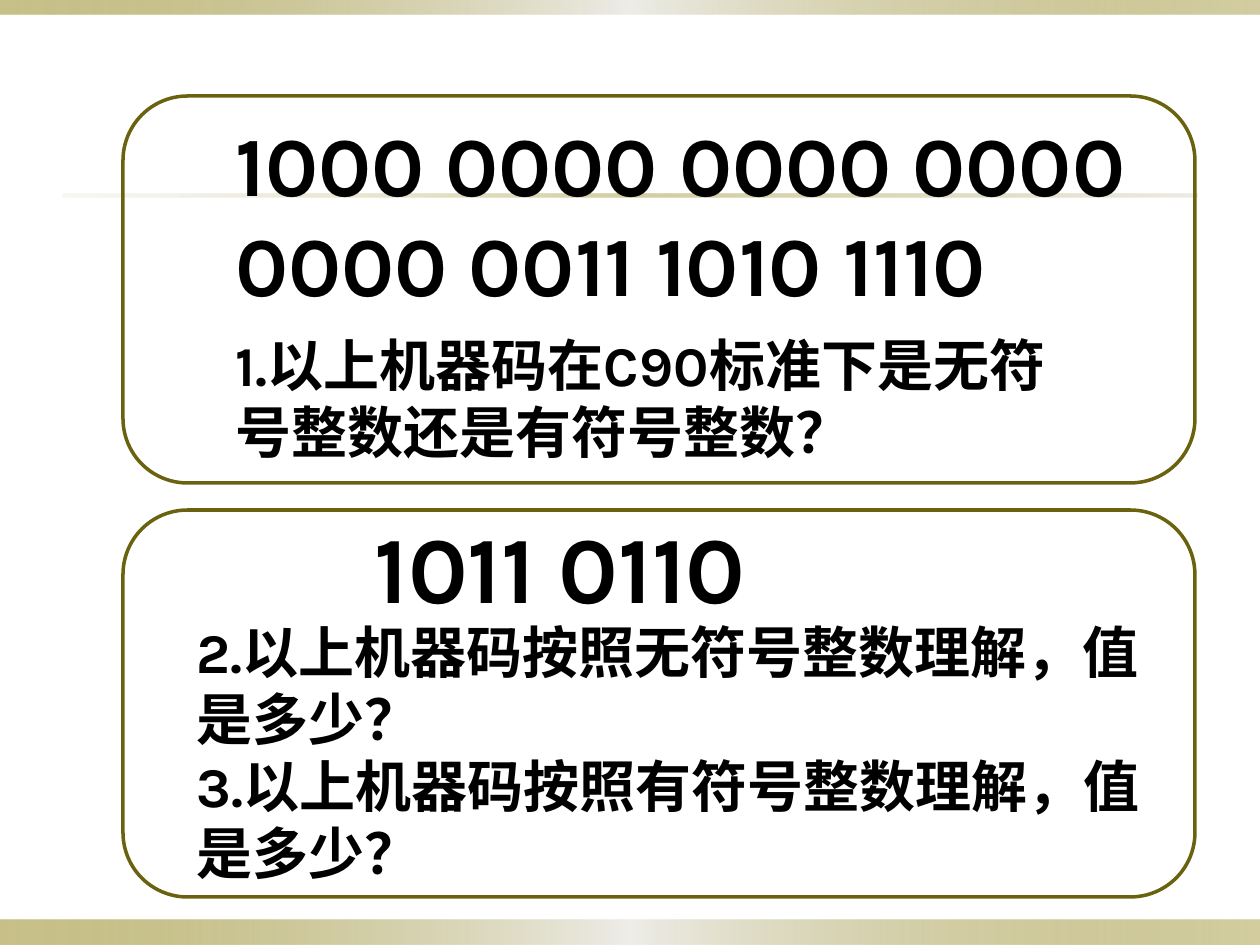
from pptx import Presentation
from pptx.dml.color import RGBColor
from pptx.enum.shapes import MSO_SHAPE
from pptx.enum.text import MSO_AUTO_SIZE
from pptx.oxml import parse_xml
from pptx.oxml.ns import nsdecls
from pptx.util import Inches, Pt

RECTANGLE = MSO_SHAPE.RECTANGLE
ROUNDED = MSO_SHAPE.ROUNDED_RECTANGLE
FIT_SHAPE = MSO_AUTO_SIZE.SHAPE_TO_FIT_TEXT

FONT = "Karla"
BLACK = RGBColor(0x00, 0x00, 0x00)
OLIVE = RGBColor(0x6B, 0x62, 0x10)
KHAKI = RGBColor(0x91, 0x84, 0x15)
PALE = RGBColor(0xEE, 0xED, 0xE8)
SAND = RGBColor(0xDC, 0xD9, 0xCC)

PAGE_WIDTH, PAGE_HEIGHT = 1260, 945
PX_PER_INCH = 126

# Gradient stops: position in percent, colour, opacity in percent
BAND_STOPS = [(0, KHAKI, 50), (50, PALE, 100), (100, KHAKI, 40)]
RULE_STOPS = [(0, SAND, 20), (50, KHAKI, 40), (100, SAND, 50)]

# Decoration: left, top, width, height, stops
BARS = [
    (0, 920, PAGE_WIDTH, 25, BAND_STOPS),
    (0, 0, PAGE_WIDTH, 15, BAND_STOPS),
    (63, 194, 1134, 3, RULE_STOPS),
]

# Frames: left, top, width, height
UPPER_FRAME = (123, 96, 1072, 387)
LOWER_FRAME = (123, 510, 1072, 387)

# Texts: paragraphs, place, size in points
WORD_CODE = (["1000 0000 0000 0000 0000 0011 1010 1110"], (223, 106, 943, 317), 48)
BYTE_CODE = (["1011 0110"], (362, 503, 952, 127), 54)
BYTE_QUESTIONS = (
    ["2.以上机器码按照无符号整数理解，值是多少？",
     "3.以上机器码按照有符号整数理解，值是多少？"],
    (184, 611, 973, 285), 32)
WORD_QUESTION = (
    ["1.以上机器码在C90标准下是无符号整数还是有符号整数？"],
    (223, 324, 873, 186), 32)


def px(*lengths):
    return [Inches(length / PX_PER_INCH) for length in lengths]


def add_bar(page, left, top, width, height, stops):
    bar = page.shapes.add_shape(RECTANGLE, *px(left, top, width, height))
    bar.shadow.inherit = False
    bar.line.fill.background()
    stop_xml = "".join(
        f'<a:gs pos="{position * 1000}"><a:srgbClr val="{color}">'
        f'<a:alpha val="{opacity * 1000}"/></a:srgbClr></a:gs>'
        for position, color, opacity in stops)
    gradient = parse_xml(
        f'<a:gradFill {nsdecls("a")} rotWithShape="1"><a:gsLst>{stop_xml}</a:gsLst>'
        '<a:lin ang="0" scaled="1"/></a:gradFill>')
    bar.element.spPr.find(".//{*}prstGeom").addnext(gradient)


def add_frame(page, place):
    frame = page.shapes.add_shape(ROUNDED, *px(*place))
    frame.shadow.inherit = False
    frame.fill.background()
    frame.line.color.rgb = OLIVE
    frame.line.width = Pt(2)


def add_text(page, paragraphs, place, size, color=BLACK, bold=True):
    box = page.shapes.add_textbox(*px(*place))
    text_frame = box.text_frame
    text_frame.word_wrap = True
    text_frame.auto_size = FIT_SHAPE
    for index, text in enumerate(paragraphs):
        para = text_frame.add_paragraph() if index else text_frame.paragraphs[0]
        span = para.add_run()
        span.text = text
        span.font.name = FONT
        span.font.size = Pt(size)
        span.font.bold = bold
        span.font.color.rgb = color


def main():
    deck = Presentation()
    deck.slide_width, deck.slide_height = px(PAGE_WIDTH, PAGE_HEIGHT)
    page = deck.slides.add_slide(deck.slide_layouts[6])

    # Gradient bands and rule
    for bar in BARS:
        add_bar(page, *bar)

    # Upper question
    add_frame(page, UPPER_FRAME)
    for text in (WORD_CODE, BYTE_QUESTIONS, WORD_QUESTION):
        add_text(page, *text)

    # Lower frame and its code, in front
    add_frame(page, LOWER_FRAME)
    add_text(page, *BYTE_CODE)

    deck.save("out.pptx")


if __name__ == "__main__":
    main()
